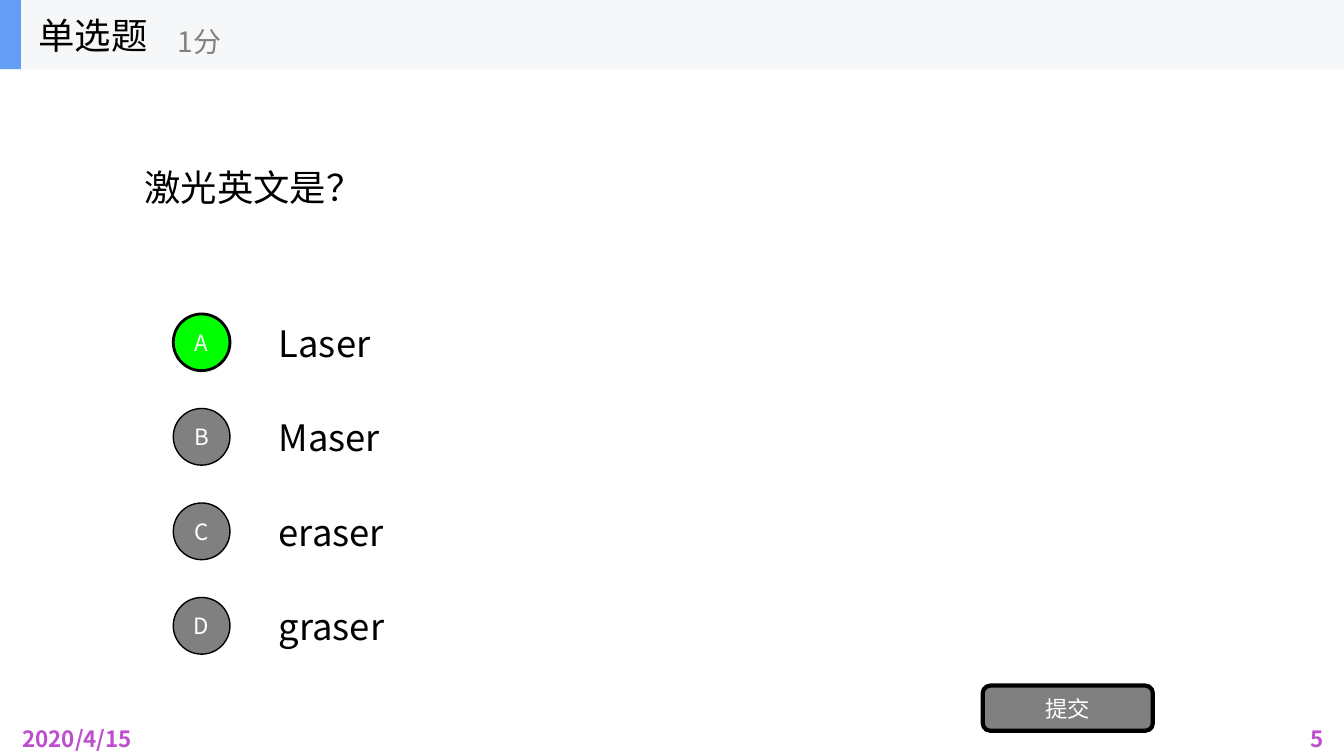
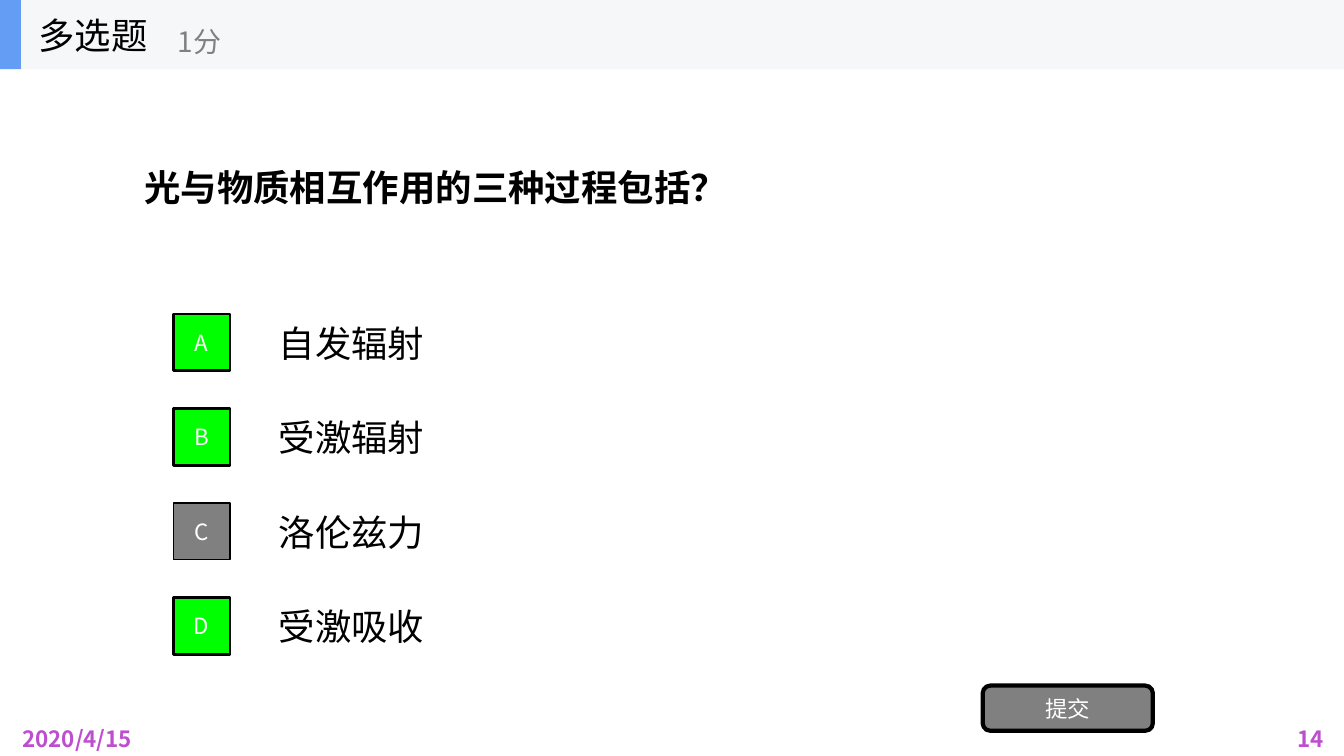
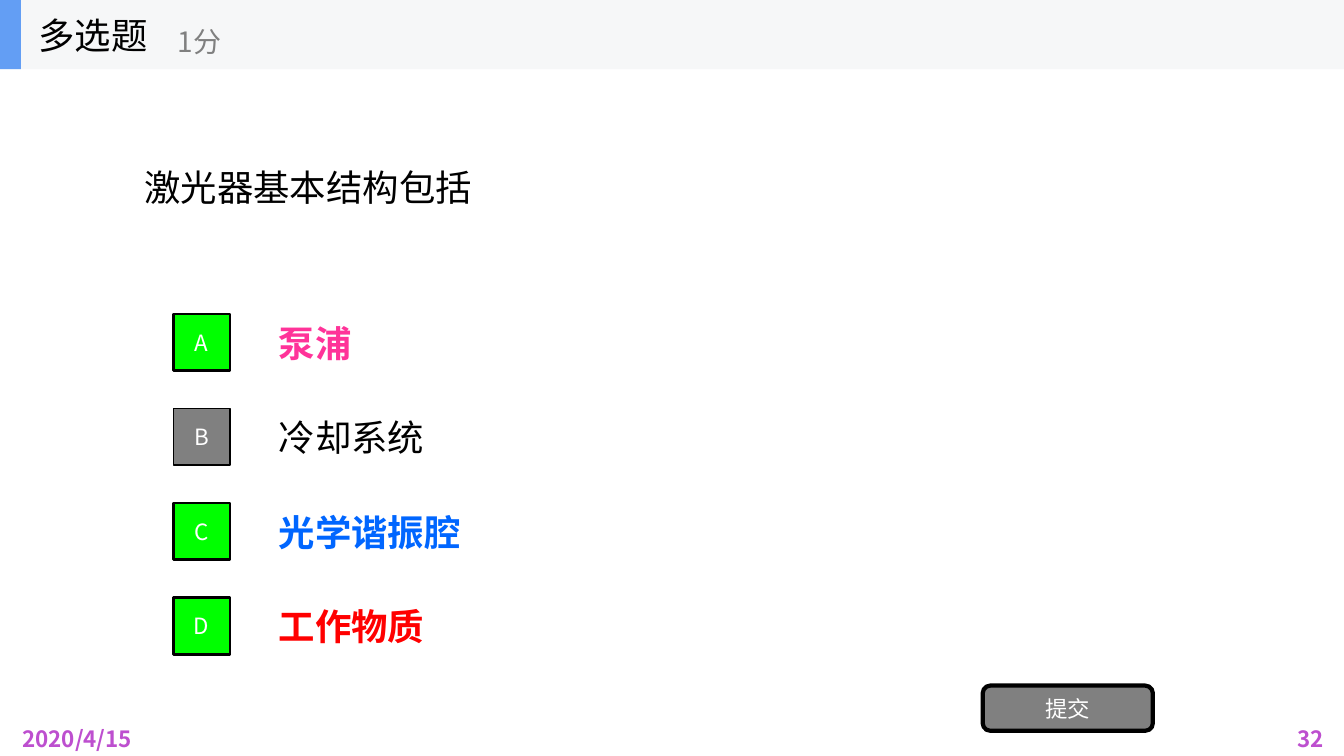
from pptx import Presentation
from pptx.dml.color import RGBColor
from pptx.enum.lang import MSO_LANGUAGE_ID
from pptx.enum.shapes import MSO_SHAPE
from pptx.enum.text import MSO_ANCHOR, PP_ALIGN
from pptx.oxml.ns import qn
from pptx.util import Pt
from lxml.etree import SubElement

EMU_PER_PX = 9525
SLIDE_W, SLIDE_H = 1280, 720
HEADER_H, STRIPE_W = 66, 20
OPTION_TOP, OPTION_PITCH, OPTION_H = 293, 90, 67
MARKER_LEFT, MARKER_SIZE = 165, 54

FONT = "Noto Sans CJK SC"
BLACK, WHITE, GRAY = "000000", "FFFFFF", "808080"
CORRECT, HEADER, STRIPE, FOOTER = "00FF00", "F6F7F8", "639EF4", "BD4FCF"
PINK, BLUE, RED = "FF3399", "0066FF", "FF0000"

DATE, SCORE, SUBMIT = "2020/4/15", "1分", "提交"
SINGLE, MULTIPLE = "单选题", "多选题"
MARKERS = {SINGLE: MSO_SHAPE.OVAL, MULTIPLE: MSO_SHAPE.RECTANGLE}

QUIZZES = [
    {
        "type": SINGLE, "number": "5", "question": "激光英文是？",
        "question_style": {}, "answers": "A",
        "options": [("Laser", BLACK), ("Maser", BLACK), ("eraser", BLACK), ("graser", BLACK)],
    },
    {
        "type": MULTIPLE, "number": "14", "question": "光与物质相互作用的三种过程包括？",
        "question_style": {"bold": True, "font": "Times New Roman"}, "answers": "ABD",
        "options": [("自发辐射", BLACK), ("受激辐射", BLACK), ("洛伦兹力", BLACK), ("受激吸收", BLACK)],
    },
    {
        "type": MULTIPLE, "number": "32", "question": "激光器基本结构包括",
        "question_style": {}, "answers": "ACD",
        "options": [("泵浦", PINK), ("冷却系统", BLACK), ("光学谐振腔", BLUE), ("工作物质", RED)],
    },
]


def px(*lengths):
    return [length * EMU_PER_PX for length in lengths]


def rgb(value):
    return RGBColor.from_string(value)


def write(frame, text, size, color, bold=False, font=FONT, align=PP_ALIGN.LEFT):
    frame.word_wrap = True
    frame.vertical_anchor = MSO_ANCHOR.MIDDLE
    paragraph = frame.paragraphs[0]
    paragraph.text = text
    paragraph.alignment = align
    run = paragraph.runs[0]
    run.font.size = Pt(size)
    run.font.bold = bold
    run.font.color.rgb = rgb(color)
    run.font.name = font
    run.font.language_id = MSO_LANGUAGE_ID.SIMPLIFIED_CHINESE
    SubElement(run.font._element, qn("a:ea"), typeface=FONT)


def add_text(shapes, box, text, size, color, **style):
    write(shapes.add_textbox(*px(*box)).text_frame, text, size, color, **style)


def add_block(shapes, kind, box, fill, line_width=0, label=""):
    block = shapes.add_shape(kind, *px(*box))
    block.shadow.inherit = False
    block.fill.solid()
    block.fill.fore_color.rgb = rgb(fill)
    if line_width:
        block.line.color.rgb = rgb(BLACK)
        block.line.width = Pt(line_width)
    else:
        block.line.fill.background()
    if label:
        frame = block.text_frame
        frame.margin_left = frame.margin_right = frame.margin_top = frame.margin_bottom = 0
        write(frame, label, 16, WHITE, align=PP_ALIGN.CENTER)


def add_footer(shapes, number):
    add_text(shapes, (12, 684, 288, 38), DATE, 16, FOOTER, bold=True)
    add_text(shapes, (982, 684, 288, 38), number, 16, FOOTER, bold=True, align=PP_ALIGN.RIGHT)


def add_header(shapes, title):
    header = shapes.add_group_shape().shapes
    add_block(header, MSO_SHAPE.RECTANGLE, (0, 0, SLIDE_W, HEADER_H), HEADER)
    add_block(header, MSO_SHAPE.RECTANGLE, (0, 0, STRIPE_W, HEADER_H), STRIPE)
    add_text(header, (27, 0, 200, HEADER_H), title, 26, BLACK)
    add_text(header, (160, 12, 240, 54), SCORE, 20, GRAY)


def add_options(shapes, quiz):
    for row, (option, color) in enumerate(quiz["options"]):
        top = OPTION_TOP + row * OPTION_PITCH
        add_text(shapes, (256, top, 896, OPTION_H), option, 26, color, bold=color != BLACK)
        letter = "ABCD"[row]
        fill, line_width = (CORRECT, 2) if letter in quiz["answers"] else (GRAY, 1)
        marker_top = top + (OPTION_H - MARKER_SIZE) // 2
        add_block(shapes, MARKERS[quiz["type"]],
                  (MARKER_LEFT, marker_top, MARKER_SIZE, MARKER_SIZE), fill, line_width, letter)


def add_quiz(deck, quiz):
    shapes = deck.slides.add_slide(deck.slide_layouts[6]).shapes
    add_footer(shapes, quiz["number"])
    add_text(shapes, (128, HEADER_H, 1024, 225), quiz["question"], 26, BLACK, **quiz["question_style"])
    add_options(shapes, quiz)
    add_block(shapes, MSO_SHAPE.ROUNDED_RECTANGLE, (936, 653, 162, 43), GRAY, 3, SUBMIT)
    add_header(shapes, quiz["type"])


def main():
    deck = Presentation()
    deck.slide_width, deck.slide_height = px(SLIDE_W, SLIDE_H)
    for quiz in QUIZZES:
        add_quiz(deck, quiz)
    deck.save("out.pptx")


if __name__ == "__main__":
    main()
